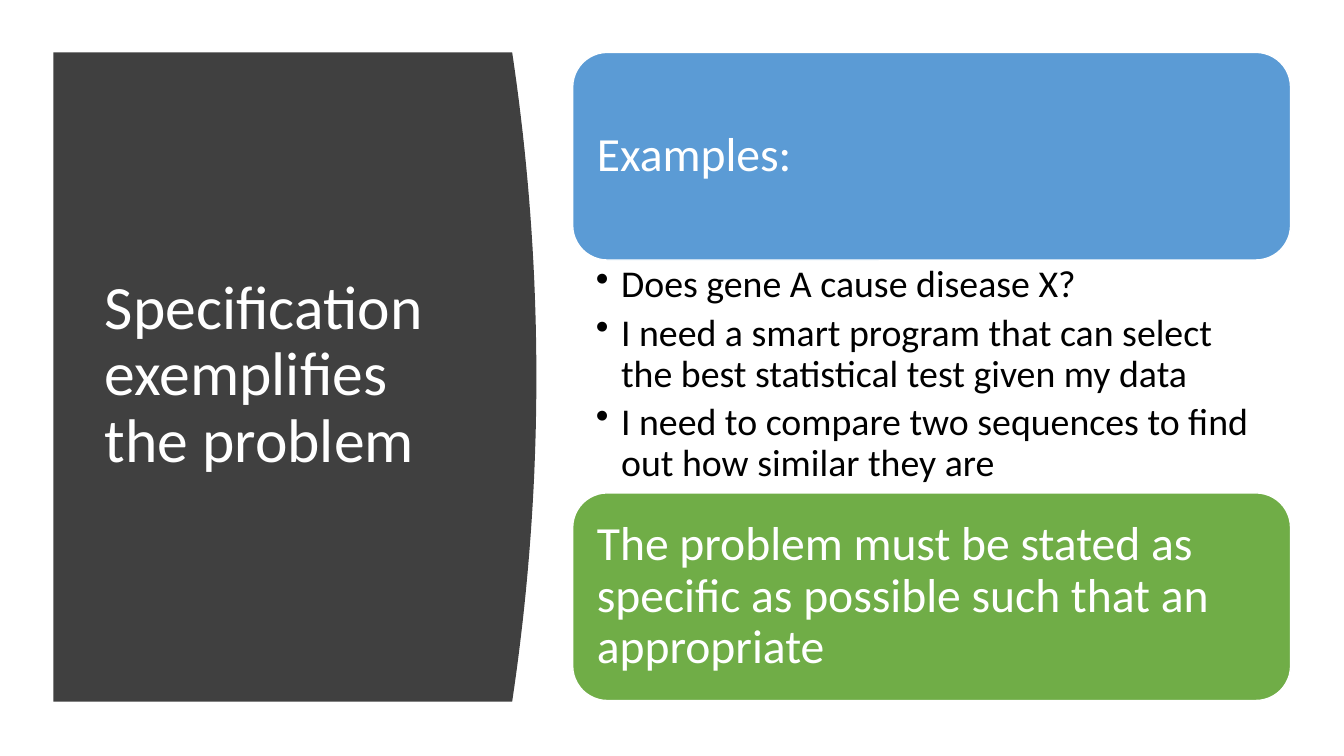
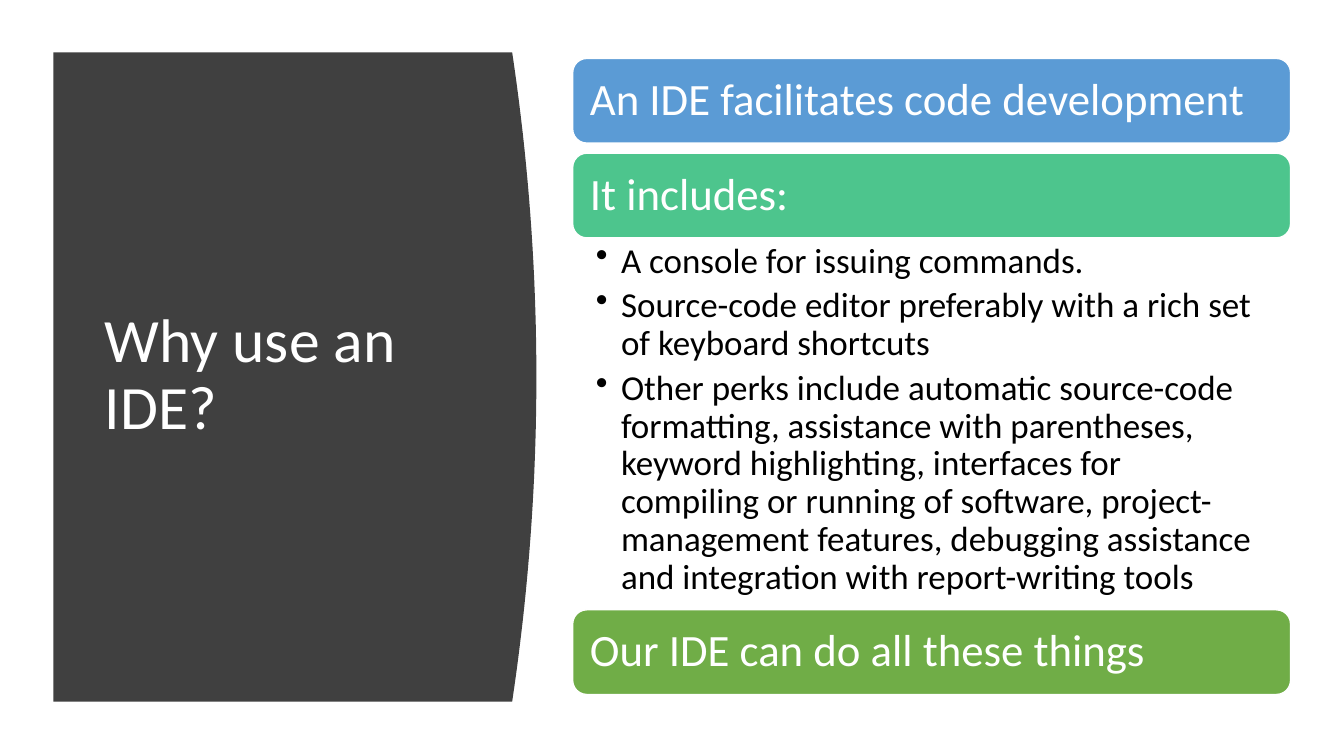
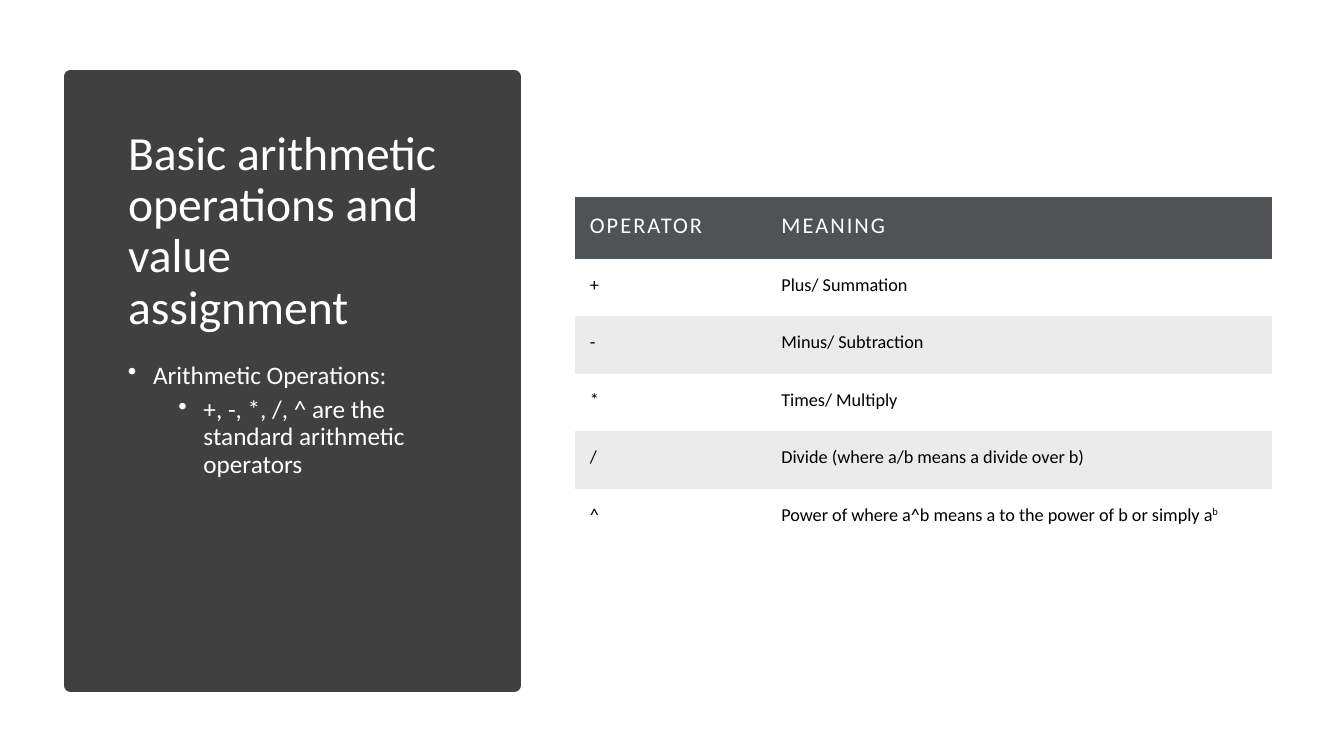
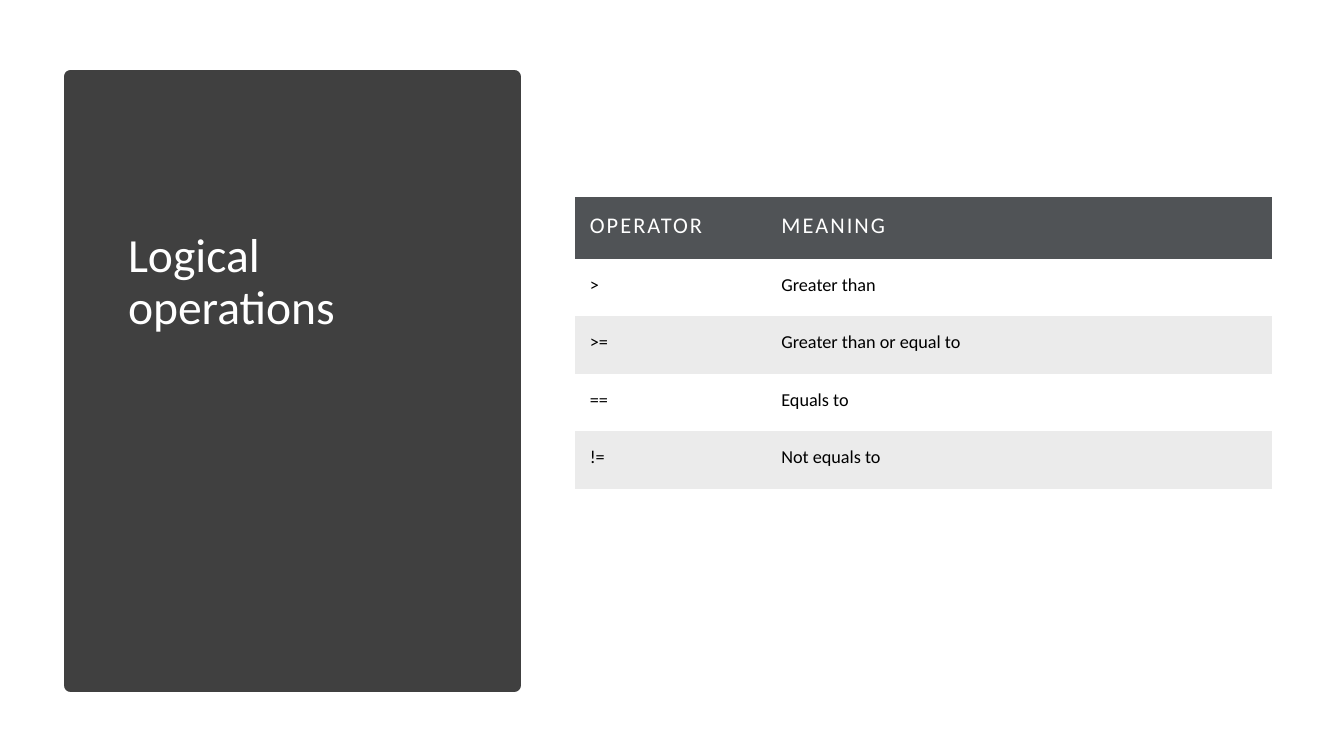
from lxml.etree import SubElement as Sub
from pptx import Presentation
from pptx.dml.color import RGBColor as Rgb
from pptx.enum.shapes import MSO_SHAPE as Form
from pptx.enum.text import MSO_ANCHOR as Anchor, MSO_AUTO_SIZE as Auto, PP_ALIGN as Align
from pptx.oxml.ns import qn
from pptx.util import Emu, Pt

FONT = "Calibri"
WHITE, BLACK, DARK = "FFFFFF", "000000", "404040"
BLUE, MINT, GREEN = "5B9BD5", "4DC58D", "70AD47"
HEAD, BAND = "505356", "EBEBEB"
NO_GRID = "{2D5ABB26-0587-4C30-8999-92F81FD0307C}"
SIDES = ("margin_left", "margin_top", "margin_right", "margin_bottom")


def px(num):
    """Hundredths of an inch to EMU."""
    return Emu(round(num * 9144))


def rgb(code):
    return Rgb.from_string(code)


def put(item, **vals):
    for name, val in vals.items():
        setattr(item, name, val)


def paint(shape, fill, line=None, width=1):
    shape.shadow.inherit = False
    shape.fill.solid()
    shape.fill.fore_color.rgb = rgb(fill)
    if line:
        shape.line.color.rgb = rgb(line)
        shape.line.width = Pt(width)
    else:
        shape.line.fill.background()


def inset(item, *sides):
    put(item, **{name: px(side) for name, side in zip(SIDES, sides)})


def add_run(para, text, size, color, **attrs):
    """Add a run; attrs are extra run properties such as spc or baseline."""
    run = para.add_run()
    run.text = text
    put(run.font, name=FONT, size=Pt(size), bold=False)
    run.font.color.rgb = rgb(color)
    for name, val in attrs.items():
        run.font._element.set(name, str(val))


def bullet(para, left):
    props = para._p.get_or_add_pPr()
    props.set("marL", str(px(left)))
    props.set("indent", str(px(-25)))
    Sub(props, qn("a:buChar")).set("char", "•")


def write(frame, texts, size, color, marks=(), anchor=Anchor.TOP, before=0, after=0):
    """Fill a frame with paragraphs; marks are the bullet indents in px."""
    put(frame, word_wrap=True, auto_size=Auto.NONE, vertical_anchor=anchor)
    for num, text in enumerate(texts):
        para = frame.add_paragraph() if num else frame.paragraphs[0]
        if marks:
            bullet(para, marks[num])
        put(para, alignment=Align.LEFT, line_spacing=0.9,
            space_before=Pt(before if num else 0), space_after=Pt(after))
        add_run(para, text, size, color)


def set_title(slide, text, box, size, anchor):
    title = slide.shapes.title
    put(title, **dict(zip(("left", "top", "width", "height"), map(px, box))))
    write(title.text_frame, [text], size, WHITE, anchor=anchor)
    slide.shapes.element.append(title.element)  # in front of the panel


def curved(slide, x, y, w, h, bulge=24, steps=40):
    """Draw a panel whose right side bows out by bulge."""
    edge = x + w - bulge
    arc = []
    for num in range(steps + 1):
        part = num / steps
        arc.append((px(edge + bulge * (1 - (2 * part - 1) ** 2)), px(y + h * part)))
    pen = slide.shapes.build_freeform(px(x), px(y), 1)
    pen.add_line_segments(arc + [(px(x), px(y + h))], close=True)
    paint(pen.convert_to_shape(), DARK)


def add_bar(slide, box, text, color, size, pad):
    bar = slide.shapes.add_shape(Form.ROUNDED_RECTANGLE, *map(px, box))
    paint(bar, color, WHITE)
    inset(bar.text_frame, *[pad] * 4)
    write(bar.text_frame, [text], size, WHITE, anchor=Anchor.MIDDLE)


def add_list(slide, box, texts, size):
    frame = slide.shapes.add_textbox(*map(px, box)).text_frame
    inset(frame, 23, 5, 26, 5)
    write(frame, texts, size, BLACK, marks=[25] * len(texts), after=size / 5)


def stack(slide, x, y, w, parts, tall, deep, sizes, pad):
    """Pile up bars (text, colour) and lists; only two bars in a row are spaced."""
    was_bar = False
    for part in parts:
        is_bar = isinstance(part, tuple)
        if is_bar:
            y += 10 if was_bar else 0
            add_bar(slide, (x, y, w, tall), *part, sizes[0], pad)
        else:
            add_list(slide, (x, y, w, deep), part, sizes[1])
        y += tall if is_bar else deep
        was_bar = is_bar


def stack_slide(deck, title, parts, top, **look):
    slide = deck.slides.add_slide(deck.slide_layouts[5])
    curved(slide, 53, 52, 479, 644)
    set_title(slide, title, (94, 111, 374, 524), 44, Anchor.MIDDLE)
    stack(slide, 568, top, 712, parts, **look)


def add_grid(slide, x, y, rows, cols=(190, 502), highs=(62, 57, 57, 57, 57, 79)):
    """Place the operator table; a cell (text, power) ends in a superscript."""
    frame = slide.shapes.add_table(len(highs), len(cols), px(x), px(y),
                                   px(sum(cols)), px(sum(highs)))
    for style in frame.element.iter(qn("a:tableStyleId")):
        style.text = NO_GRID
    grid = frame.table
    for col, wide in zip(grid.columns, cols):
        col.width = px(wide)
    for row, high in zip(grid.rows, highs):
        row.height = px(high)
    for r, row in enumerate([("OPERATOR", "MEANING"), *rows]):
        look = (16, WHITE) if r == 0 else (13, BLACK)
        extra = {"spc": 150} if r == 0 else {}
        for c, text in enumerate(row):
            cell = grid.cell(r, c)
            inset(cell, *[15] * 4)
            if r % 2:
                cell.fill.background()
            else:
                cell.fill.solid()
                cell.fill.fore_color.rgb = rgb(BAND if r else HEAD)
            para = cell.text_frame.paragraphs[0]
            text, *power = text if isinstance(text, tuple) else (text,)
            add_run(para, text, *look, **extra)
            for sup in power:
                add_run(para, sup, *look, baseline=30000)


def grid_slide(deck, title, rows, notes=()):
    slide = deck.slides.add_slide(deck.slide_layouts[5])
    panel = slide.shapes.add_shape(Form.RECTANGLE, *map(px, (70, 76, 440, 604)))
    paint(panel, DARK, DARK, 10)
    set_title(slide, title, (117, 111, 344, 226), 34, Anchor.BOTTOM)
    if notes:
        body = slide.shapes.add_textbox(*map(px, (117, 355, 344, 244)))
        write(body.text_frame, notes, 18, WHITE, marks=(25, 75), before=5)
    add_grid(slide, 570, 195, rows)


def main():
    deck = Presentation()
    put(deck, slide_width=px(1333), slide_height=px(750))
    stack_slide(deck, "Specification exemplifies the problem", [
        ("Examples:", BLUE),
        ["Does gene A cause disease X?",
         "I need a smart program that can select the best statistical test given my data",
         "I need to compare two sequences to find out how similar they are"],
        ("The problem must be stated as specific as possible such that an appropriate", GREEN),
    ], top=52, tall=206, deep=231, sizes=(34, 27), pad=14)
    stack_slide(deck, "Why use an IDE?", [
        ("An IDE facilitates code development", BLUE),
        ("It includes:", MINT),
        ["A console for issuing commands.",
         "Source-code editor preferably with a rich set of keyboard shortcuts",
         "Other perks include automatic source-code formatting, assistance with "
         "parentheses, keyword highlighting, interfaces for compiling or running of "
         "software, project-management features, debugging assistance and integration "
         "with report-writing tools"],
        ("Our IDE can do all these things", GREEN),
    ], top=58, tall=84, deep=369, sizes=(32, 25), pad=13)
    grid_slide(deck, "Basic arithmetic operations and value assignment", [
        ("+", "Plus/ Summation"),
        ("-", "Minus/ Subtraction"),
        ("*", "Times/ Multiply"),
        ("/", "Divide (where a/b means a divide over b)"),
        ("^", ("Power of where a^b means a to the power of b or simply a", "b")),
    ], ("Arithmetic Operations:", "+, -, *, /, ^ are the standard arithmetic operators"))
    grid_slide(deck, "Logical operations", [
        (">", "Greater than"),
        (">=", "Greater than or equal to"),
        ("==", "Equals to"),
        ("!=", "Not equals to"),
    ])
    deck.save("out.pptx")


if __name__ == "__main__":
    main()
